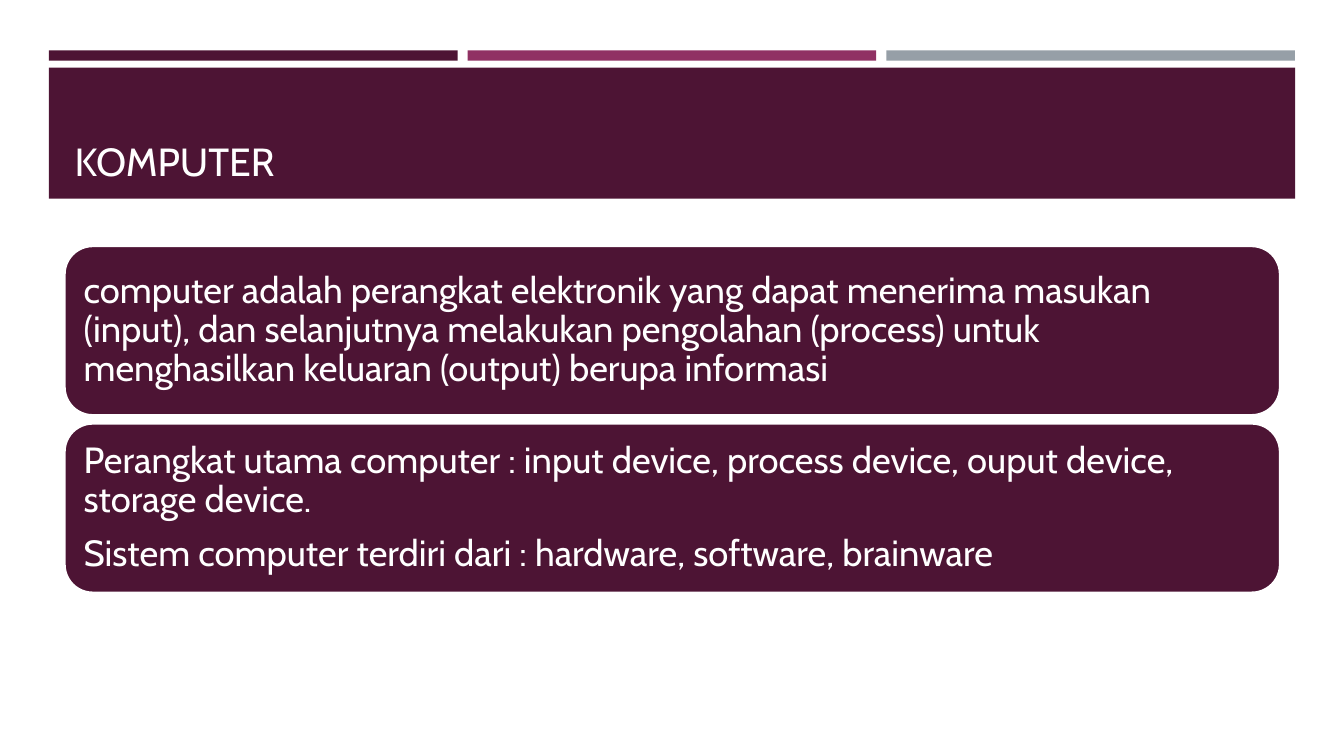
from pptx import Presentation
from pptx.dml.color import RGBColor as Rgb
from pptx.enum.shapes import MSO_SHAPE as Shape
from pptx.enum.text import MSO_ANCHOR as Anchor, MSO_AUTO_SIZE as Fit, PP_ALIGN as Align
from pptx.util import Pt

HUES = {"plum": "4D1434", "rose": "903163", "gray": "969FA7", "white": "FFFFFF"}
FONT = "Cabin"
CARDS = [
    ["computer adalah perangkat elektronik yang dapat menerima masukan (input), "
     "dan selanjutnya melakukan pengolahan (process) untuk menghasilkan keluaran "
     "(output) berupa informasi"],
    ["Perangkat utama computer : input device, process device, ouput device, storage device.",
     "Sistem computer terdiri dari : hardware, software, brainware"],
]


def hue(name):
    return Rgb.from_string(HUES[name])


def block(slide, kind, box, fill):
    shape = slide.shapes.add_shape(kind, *map(Pt, box))
    shape.shadow.inherit = False
    shape.fill.solid()
    shape.fill.fore_color.rgb = hue(fill)
    shape.line.fill.background()
    return shape


def write(frame, lines, size, anchor):
    frame.word_wrap = True
    frame.auto_size = Fit.NONE
    frame.vertical_anchor = anchor
    frame.text = "\n".join(lines)
    for para in frame.paragraphs:
        para.alignment = Align.LEFT
        for run in para.runs:
            run.font.name = FONT
            run.font.size = Pt(size)
            run.font.color.rgb = hue("white")


def stripes(slide, box, gap):
    left, top, width, height = box
    fills = ["plum", "rose", "gray"]
    step = (width + gap) / len(fills)
    for i, fill in enumerate(fills):
        block(slide, Shape.RECTANGLE, (left + i * step, top, step - gap, height), fill)


def header(slide, box, text):
    left, top, width, height = box
    block(slide, Shape.RECTANGLE, box, "plum")
    title = slide.shapes.title
    title.left, title.top = Pt(left + 11.2), Pt(top + 7.2)
    title.width, title.height = Pt(width - 22.4), Pt(height - 14)
    write(title.text_frame, [text], 28, Anchor.BOTTOM)
    title.element.getparent().append(title.element)


def cards(slide, box, gap):
    left, top, width, height = box
    tall = (height - gap * (len(CARDS) - 1)) / len(CARDS)
    for i, lines in enumerate(CARDS):
        spot = (left, top + i * (tall + gap), width, tall)
        card = block(slide, Shape.ROUNDED_RECTANGLE, spot, "plum")
        card.line.color.rgb = hue("white")
        card.line.width = Pt(1.75)
        frame = card.text_frame
        frame.margin_left = frame.margin_right = Pt(7.8)
        frame.margin_top = frame.margin_bottom = Pt(7.8)
        write(frame, lines, 26, Anchor.MIDDLE)
        for para in frame.paragraphs:
            para.line_spacing = 0.9
            para.space_after = Pt(10)


def main():
    deck = Presentation()
    deck.slide_width, deck.slide_height = Pt(960), Pt(540)
    slide = deck.slides.add_slide(deck.slide_layouts[5])
    stripes(slide, (35, 36, 890, 7.4), 7.2)
    header(slide, (34.9, 48.4, 890.2, 93.6), "KOMPUTER")
    cards(slide, (46.1, 175.7, 868.3, 247.7), 5.8)
    deck.save("out.pptx")


if __name__ == "__main__":
    main()
